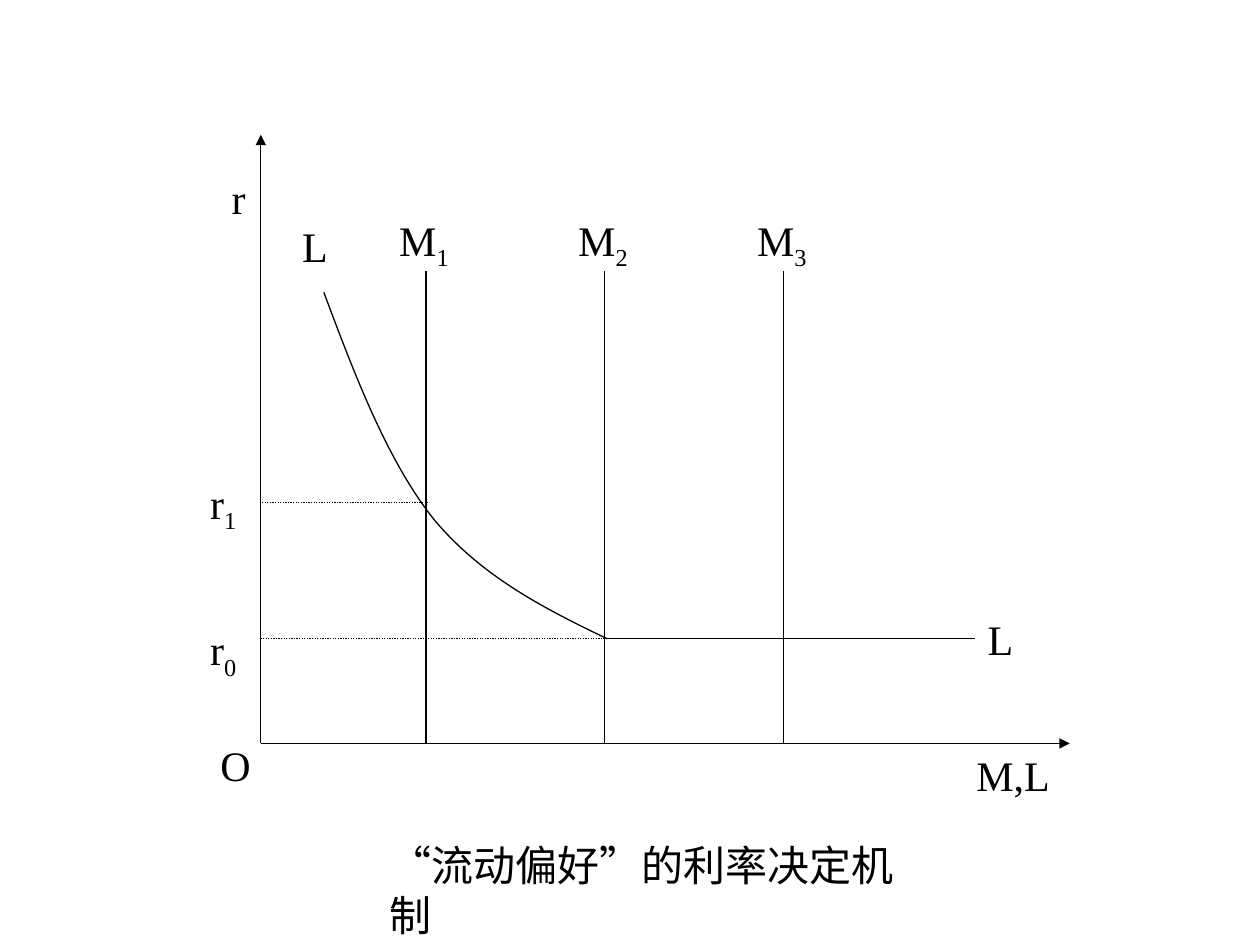
"""Build a slide charting how liquidity preference sets the interest rate."""
from lxml import etree
from pptx import Presentation
from pptx.dml.color import RGBColor
from pptx.enum.dml import MSO_LINE
from pptx.enum.shapes import MSO_CONNECTOR
from pptx.oxml.ns import qn
from pptx.util import Inches, Pt

DOT = MSO_LINE.ROUND_DOT
STRAIGHT = MSO_CONNECTOR.STRAIGHT
COLORS = {"ink": "000000"}
INK = RGBColor.from_string(COLORS["ink"])
FONT = "Times New Roman"

LEFT, BASE = 2.07, 5.9
KINK, FLOOR = 4.82, 5.07
SUPPLY_X, SUPPLY_TOP, STEP = 3.38, 2.15, 1.42

AXES = [(LEFT, 1.07), (8.49, BASE)]
SUPPLY = ["1", "2", "3"]
DOTTED = [(KINK, FLOOR), (3.4, 3.99)]
CURVE = [(2.57, 2.32), (2.82, 2.99), (3.08, 3.67), (3.45, 4.13),
         (3.83, 4.58), (4.32, 4.83), (KINK, FLOOR)]
LABELS = [
    ("O", "", 1.65, 5.82, 0.67, 0.5),
    ("r", "", 1.74, 1.32, 0.67, 0.5),
    ("M,L", "", 7.65, 5.9, 1.08, 0.5),
    ("L", "", 7.74, 4.82, 0.67, 0.5),
    ("L", "", 2.3, 1.7, 0.4, 0.5),
    ("r", "0", 1.57, 4.9, 0.5, 0.56),
    ("r", "1", 1.57, 3.74, 0.5, 0.56),
    ("“流动偏好”的利率决定机制", "", 2.99, 6.61, 4.32, 0.5),
]


def add_line(slide, start, end, arrow=False, dash=None):
    points = [Inches(n) for n in start + end]
    line = slide.shapes.add_connector(STRAIGHT, *points)
    line.line.color.rgb = INK
    line.line.width = Pt(0.75)
    if dash:
        line.line.dash_style = dash
    if arrow:
        etree.SubElement(line.line._get_or_add_ln(), qn("a:tailEnd"), type="triangle")
    etree.SubElement(line._element.spPr, qn("a:effectLst"))


def add_label(slide, text, sub, *place):
    box = slide.shapes.add_textbox(*[Inches(n) for n in place])
    box.text_frame.word_wrap = True
    para = box.text_frame.paragraphs[0]
    para.text = text
    if sub:
        low = para.add_run()
        low.text = sub
        low.font._element.set("baseline", "-25000")
    for run in para.runs:
        run.font.name = FONT
        run.font.size = Pt(24)
        run.font.color.rgb = INK


def add_curve(slide, points):
    spots = [(Inches(x), Inches(y)) for x, y in points]
    build = slide.shapes.build_freeform(*spots[0])
    build.add_line_segments(spots[1:], close=False)
    curve = build.convert_to_shape()
    curve.shadow.inherit = False
    curve.fill.background()
    curve.line.color.rgb = INK
    curve.line.width = Pt(0.75)
    parts = list(curve._element.iter(qn("a:lnTo")))
    for i in range(0, len(parts), 3):
        bend = etree.SubElement(parts[i].getparent(), qn("a:cubicBezTo"))
        for part in parts[i:i + 3]:
            bend.append(part[0])
            part.getparent().remove(part)


def main():
    deck = Presentation()
    deck.slide_width, deck.slide_height = Inches(10), Inches(7.5)
    slide = deck.slides.add_slide(deck.slide_layouts[6])
    for end in AXES:
        add_line(slide, (LEFT, BASE), end, arrow=True)
    for i, sub in enumerate(SUPPLY):
        x = SUPPLY_X + i * STEP
        add_line(slide, (x, SUPPLY_TOP), (x, BASE))
        add_label(slide, "M", sub, x - 0.31, SUPPLY_TOP - 0.5, 0.75, 0.56)
    add_curve(slide, CURVE)
    add_line(slide, (KINK, FLOOR), (7.74, FLOOR))
    for x, y in DOTTED:
        add_line(slide, (x, y), (LEFT, y), dash=DOT)
    for label in LABELS:
        add_label(slide, *label)
    deck.save("out.pptx")


if __name__ == "__main__":
    main()
